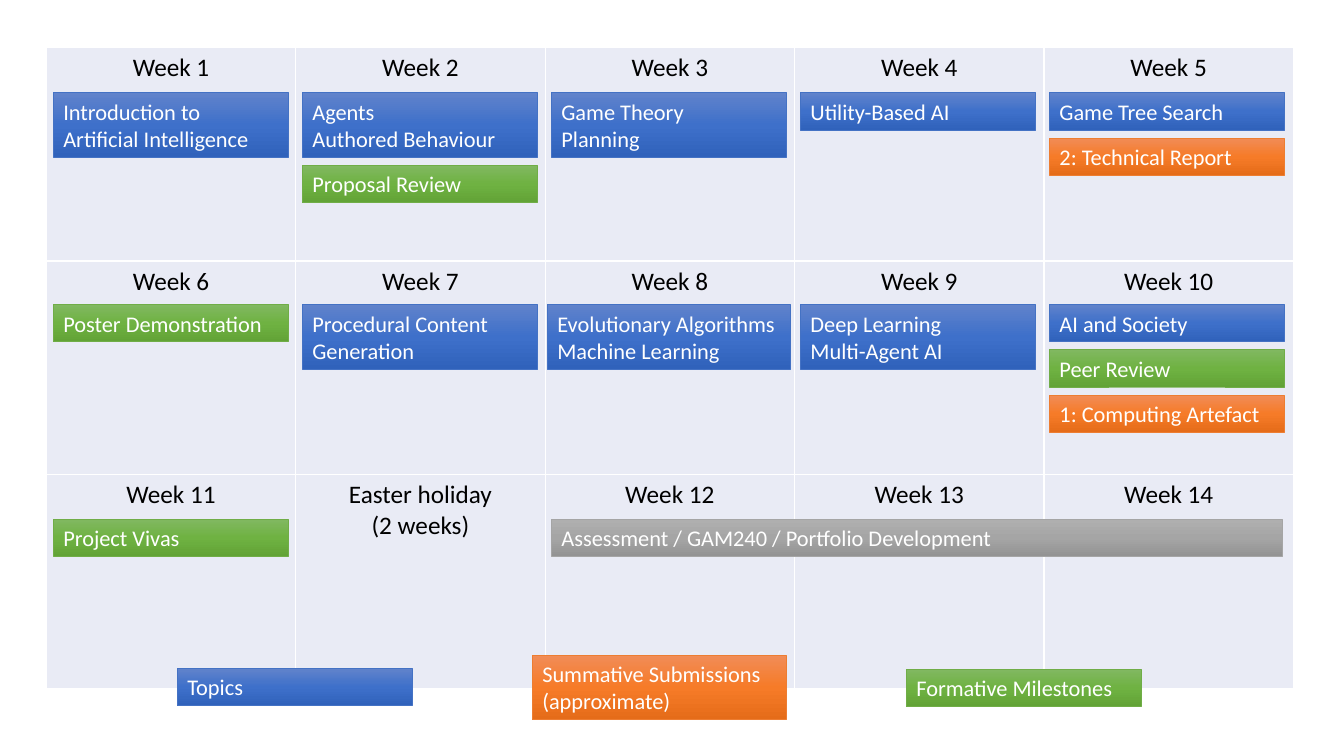
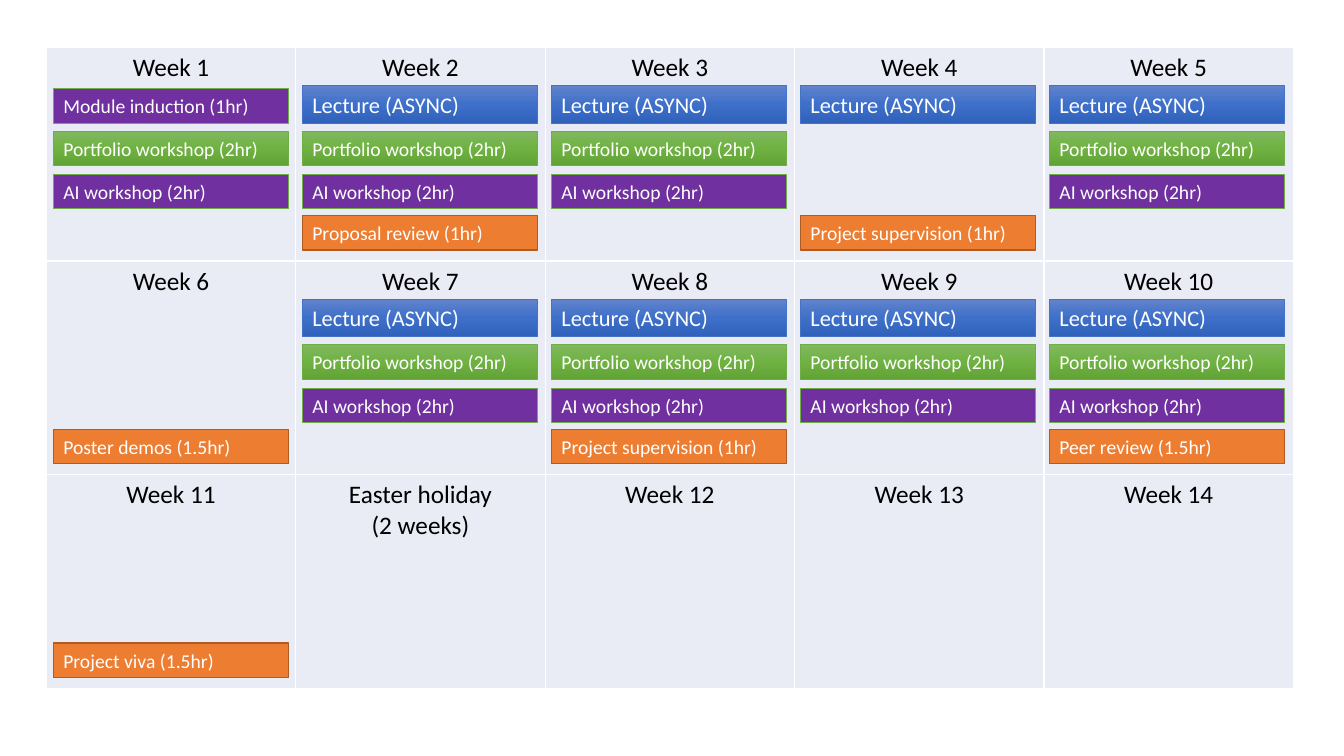
from collections import namedtuple
from copy import deepcopy

from lxml import etree
from pptx import Presentation
from pptx import util as u
from pptx.dml.color import RGBColor
from pptx.enum import shapes, text
from pptx.oxml import ns

PX = 9144  # EMU per px, 100 px to the inch
FONT = "Calibri"
WHITE, BLACK, CELL_FILL = "FFFFFF", "000000", "E9EBF5"

TABLE_LEFT, TABLE_TOP, TABLE_W = 46, 47, 1237
COLS, ROWS, ROW_H = 5, 3, 212
BOX_LEFT, BOX_STEP, BOX_W = 53, 247, 233
BOX_GAP = 8

Style = namedtuple("Style", "fills line line_pt")
BLUE = Style(("6183CB", "3E70CA", "3062BB"), "4472C4", 0.5)
GREEN = Style(("81B861", "6FB242", "62A336"), "70AD47", 0.5)
ORANGE = Style(("F18C57", "F67B28", "E56C19"), "ED7D31", 0.5)
GREY = Style(("AFAFAF", "A5A5A5", "939393"), "A5A5A5", 0.5)
PURPLE = Style(("7030A0",), "70AD47", 0.5)
FLAT_ORANGE = Style(("ED7D31",), "AF5C24", 1)

CELL_TITLES = ([f"Week {n}" for n in range(1, 12)] + ["Easter holiday\n(2 weeks)"]
               + [f"Week {n}" for n in range(12, 15)])

TOPIC_TOPS = (92, 302, 515)
# week: (style, text, number of lines), stacked downwards
TOPICS = {
    1: [(BLUE, "Introduction to Artificial Intelligence", 2)],
    2: [(BLUE, "Agents\nAuthored Behaviour", 2), (GREEN, "Proposal Review", 1)],
    3: [(BLUE, "Game Theory\nPlanning", 2)],
    4: [(BLUE, "Utility-Based AI", 1)],
    5: [(BLUE, "Game Tree Search", 1), (ORANGE, "2: Technical Report", 1)],
    6: [(GREEN, "Poster Demonstration", 1)],
    7: [(BLUE, "Procedural Content Generation", 2)],
    8: [(BLUE, "Evolutionary Algorithms\nMachine Learning", 2)],
    9: [(BLUE, "Deep Learning\nMulti-Agent AI", 2)],
    10: [(BLUE, "AI and Society", 1), (GREEN, "Peer Review", 1),
         (ORANGE, "1: Computing Artefact", 1)],
    11: [(GREEN, "Project Vivas", 1)],
}
WIDE_TOPICS = {8: 241}

# left, top, width, style, text, number of lines
TOPIC_EXTRAS = [
    (547, 515, 725, GREY, "Assessment / GAM240 / Portfolio Development", 1),
    (176, 663, BOX_W, BLUE, "Topics", 1),
    (528, 650, 252, ORANGE, "Summative Submissions (approximate)", 2),
    (899, 664, BOX_W, GREEN, "Formative Milestones", 1),
]

Session = namedtuple("Session", "offset style text size")
INDUCTION = Session(41, PURPLE, "Module induction (1hr)", 14)
LECTURE = Session(38, BLUE, "Lecture (ASYNC)", 16)
PORTFOLIO = Session(83, GREEN, "Portfolio workshop (2hr)", 14)
AI = Session(126, PURPLE, "AI workshop (2hr)", 14)
TEACHING = [LECTURE, PORTFOLIO, AI]


def meeting(label):
    return Session(167, FLAT_ORANGE, label, 14)


SESSIONS = {
    1: [INDUCTION, PORTFOLIO, AI],
    2: TEACHING + [meeting("Proposal review (1hr)")],
    3: TEACHING,
    4: [LECTURE, meeting("Project supervision (1hr)")],
    5: TEACHING,
    6: [meeting("Poster demos (1.5hr)")],
    7: TEACHING,
    8: TEACHING + [meeting("Project supervision (1hr)")],
    9: TEACHING,
    10: TEACHING + [meeting("Peer review (1.5hr)")],
    11: [meeting("Project viva (1.5hr)")],
}


def px(n):
    return u.Emu(n * PX)


def rgb(color):
    return RGBColor.from_string(color)


def grid_place(week):
    """Row and column of a week that comes before the holiday."""
    return divmod(week - 1, COLS)


def write(tf, content, size, color, align):
    for i, line in enumerate(content.split("\n")):
        p = tf.add_paragraph() if i else tf.paragraphs[0]
        p.alignment = align
        r = p.add_run()
        r.text = line
        r.font.name, r.font.size = FONT, u.Pt(size)
        r.font.color.rgb = rgb(color)


def fill_shape(sp, colors):
    """One colour gives a solid fill, three a gradient from top to bottom."""
    if len(colors) == 1:
        sp.fill.solid()
        sp.fill.fore_color.rgb = rgb(colors[0])
        return
    sp.fill.gradient()
    sp.fill.gradient_angle = 270
    stop_list = sp._element.spPr.find(".//" + ns.qn("a:gsLst"))
    stop_list.insert(1, deepcopy(stop_list[0]))
    for i, (stop, color) in enumerate(zip(sp.fill.gradient_stops, colors)):
        stop.position = i / 2
        stop.color.rgb = rgb(color)


def add_box(s, left, top, width, style, content, lines=1, size=16):
    height = 10 + 27 * lines if size == 16 else 34
    sp = s.shapes.add_shape(shapes.MSO_SHAPE.RECTANGLE,
                            px(left), px(top), px(width), px(height))
    sp.shadow.inherit = False
    fill_shape(sp, style.fills)
    sp.line.color.rgb = rgb(style.line)
    sp.line.width = u.Pt(style.line_pt)
    tf = sp.text_frame
    tf.word_wrap = True
    tf.auto_size = text.MSO_AUTO_SIZE.SHAPE_TO_FIT_TEXT
    write(tf, content, size, WHITE, text.PP_ALIGN.LEFT)


def set_borders(cell):
    tc_pr = cell._tc.get_or_add_tcPr()
    for side in ("lnL", "lnR", "lnT", "lnB"):
        ln = etree.SubElement(tc_pr, ns.qn("a:" + side), w=str(u.Pt(1)))
        fill = etree.SubElement(ln, ns.qn("a:solidFill"))
        etree.SubElement(fill, ns.qn("a:srgbClr"), val=WHITE)


def add_calendar(prs):
    """A new slide with the table of weeks."""
    s = prs.slides.add_slide(prs.slide_layouts[6])
    table = s.shapes.add_table(ROWS, COLS, px(TABLE_LEFT), px(TABLE_TOP),
                               px(TABLE_W), px(ROWS * ROW_H)).table
    table.first_row = table.horz_banding = False
    for cell, title in zip(table.iter_cells(), CELL_TITLES):
        set_borders(cell)
        cell.fill.solid()
        cell.fill.fore_color.rgb = rgb(CELL_FILL)
        write(cell.text_frame, title, 18, BLACK, text.PP_ALIGN.CENTER)
    return s


def add_topics_slide(prs):
    s = add_calendar(prs)
    for week, boxes in TOPICS.items():
        row, col = grid_place(week)
        width = WIDE_TOPICS.get(week, BOX_W)
        left = BOX_LEFT + col * BOX_STEP - (width - BOX_W) // 2
        top = TOPIC_TOPS[row]
        for style, content, lines in boxes:
            add_box(s, left, top, width, style, content, lines)
            top += 10 + 27 * lines + BOX_GAP
    for extra in TOPIC_EXTRAS:
        add_box(s, *extra)


def add_sessions_slide(prs):
    s = add_calendar(prs)
    for week, sessions in SESSIONS.items():
        row, col = grid_place(week)
        for session in sessions:
            add_box(s, BOX_LEFT + col * BOX_STEP,
                    TABLE_TOP + row * ROW_H + session.offset,
                    BOX_W, session.style, session.text, size=session.size)


def main():
    prs = Presentation()
    prs.slide_width, prs.slide_height = px(1333), px(750)
    add_topics_slide(prs)
    add_sessions_slide(prs)
    prs.save("out.pptx")


if __name__ == "__main__":
    main()
